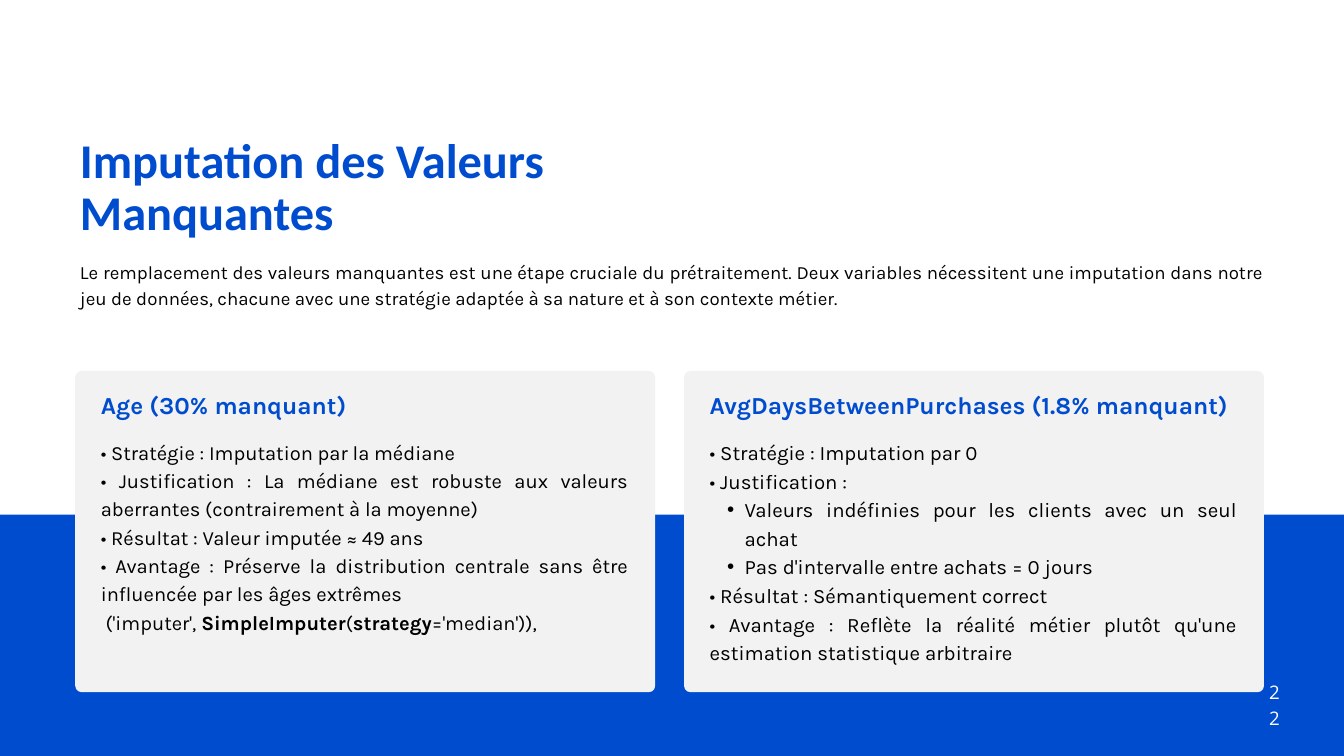
import pptx
import pptx.dml.color
import pptx.enum.shapes
import pptx.enum.text
import pptx.oxml.ns
import pptx.util
from lxml import etree

COLORS = {"blue": "004CCF", "card": "F2F2F2", "text": "000000", "white": "FFFFFF"}
ALIGN = pptx.enum.text.PP_ALIGN
SHAPE = pptx.enum.shapes.MSO_SHAPE

deck = pptx.Presentation()
deck.slide_width = pptx.util.Inches(20)
deck.slide_height = pptx.util.Inches(11.25)
page = deck.slides.add_slide(deck.slide_layouts[6])

# The page is a grid of 100 columns and 100 rows
COL = deck.slide_width / 100
ROW = deck.slide_height / 100


def add_panel(kind, color, left, top, width, height):
    """Add a plain filled shape, placed in columns and rows."""
    panel = page.shapes.add_shape(
        kind, round(left * COL), round(top * ROW), round(width * COL), round(height * ROW))
    panel.shadow.inherit = False
    panel.fill.solid()
    panel.fill.fore_color.rgb = pptx.dml.color.RGBColor.from_string(COLORS[color])
    panel.line.fill.background()
    return panel


def add_text(paragraphs, left, top, width, height, size, leading, color="text",
             font="Karla", bold=False, align=ALIGN.JUSTIFY):
    """Add a text box from (level, spans) paragraphs; every second span is bold."""
    box = page.shapes.add_textbox(
        round(left * COL), round(top * ROW), round(width * COL), round(height * ROW))
    frame = box.text_frame
    frame.word_wrap = True
    frame.margin_left = frame.margin_right = frame.margin_top = frame.margin_bottom = 0
    for index, (level, spans) in enumerate(paragraphs):
        para = frame.paragraphs[0] if index == 0 else frame.add_paragraph()
        para.alignment = align
        para.line_spacing = pptx.util.Pt(leading)
        if level:
            para.level = level
            props = para._p.get_or_add_pPr()
            props.set("marL", str(pptx.util.Inches(0.52)))
            props.set("indent", str(pptx.util.Inches(-0.26)))
            etree.SubElement(props, pptx.oxml.ns.qn("a:buFont")).set("typeface", "Arial")
            etree.SubElement(props, pptx.oxml.ns.qn("a:buChar")).set("char", "•")
        for position, text in enumerate(spans):
            span = para.add_run()
            span.text = text
            span.font.name = font
            span.font.size = pptx.util.Pt(size)
            span.font.bold = bold or position % 2 == 1
            span.font.color.rgb = pptx.dml.color.RGBColor.from_string(COLORS[color])


add_panel(SHAPE.RECTANGLE, "blue", 0, 68.09, 100, 31.91)

add_text([(0, ["Imputation des Valeurs Manquantes"])], 5.95, 18.13, 36.95, 13.87,
         51.9, 55, "blue", "Calibri", bold=True, align=ALIGN.LEFT)
add_text([(0, ["Le remplacement des valeurs manquantes est une étape cruciale du "
               "prétraitement. Deux variables nécessitent une imputation dans notre jeu de "
               "données, chacune avec une stratégie adaptée à sa nature et à son contexte "
               "métier."])], 5.95, 33.96, 88.1, 6.84, 20, 28)

# Heading, body size, body leading, body paragraphs
cards = [
    ("Age (30% manquant)", 21.6, 30.3, [
        (0, ["• Stratégie : Imputation par la médiane"]),
        (0, ["• Justification : La médiane est robuste aux valeurs aberrantes "
             "(contrairement à la moyenne)"]),
        (0, ["• Résultat : Valeur imputée ≈ 49 ans"]),
        (0, ["• Avantage : Préserve la distribution centrale sans être influencée par "
             "les âges extrêmes"]),
        (0, [" ('imputer', ", "SimpleImputer", "(", "strategy", "='median')),"]),
    ]),
    ("AvgDaysBetweenPurchases (1.8% manquant)", 21.9, 30.6, [
        (0, ["• Stratégie : Imputation par 0"]),
        (0, ["• Justification :"]),
        (1, ["Valeurs indéfinies pour les clients avec un seul achat"]),
        (1, ["Pas d'intervalle entre achats = 0 jours"]),
        (0, ["• Résultat : Sémantiquement correct"]),
        (0, ["• Avantage : Reflète la réalité métier plutôt qu'une estimation "
             "statistique arbitraire"]),
    ]),
]
CARD_LEFT, CARD_STEP, CARD_PADDING, TEXT_WIDTH = 5.6, 45.3, 1.9, 39.25

for index, (heading, size, leading, body) in enumerate(cards):
    left = CARD_LEFT + index * CARD_STEP
    card = add_panel(SHAPE.ROUNDED_RECTANGLE, "card", left, 49.07, 43.15, 42.49)
    card.adjustments[0] = 0.02
    text_left = left + CARD_PADDING
    add_text([(0, [heading])], text_left, 51.02, TEXT_WIDTH, 4.44, 26.2, 36.6, "blue", bold=True)
    add_text(body, text_left, 57.69, TEXT_WIDTH, 31.5, size, leading)

# The narrow box stacks the digits of the page number
add_text([(0, ["22"])], 94.4, 89.51, 0.85, 1.96, 20, 28, "white", "Open Sans",
         align=ALIGN.CENTER)

deck.save("out.pptx")
